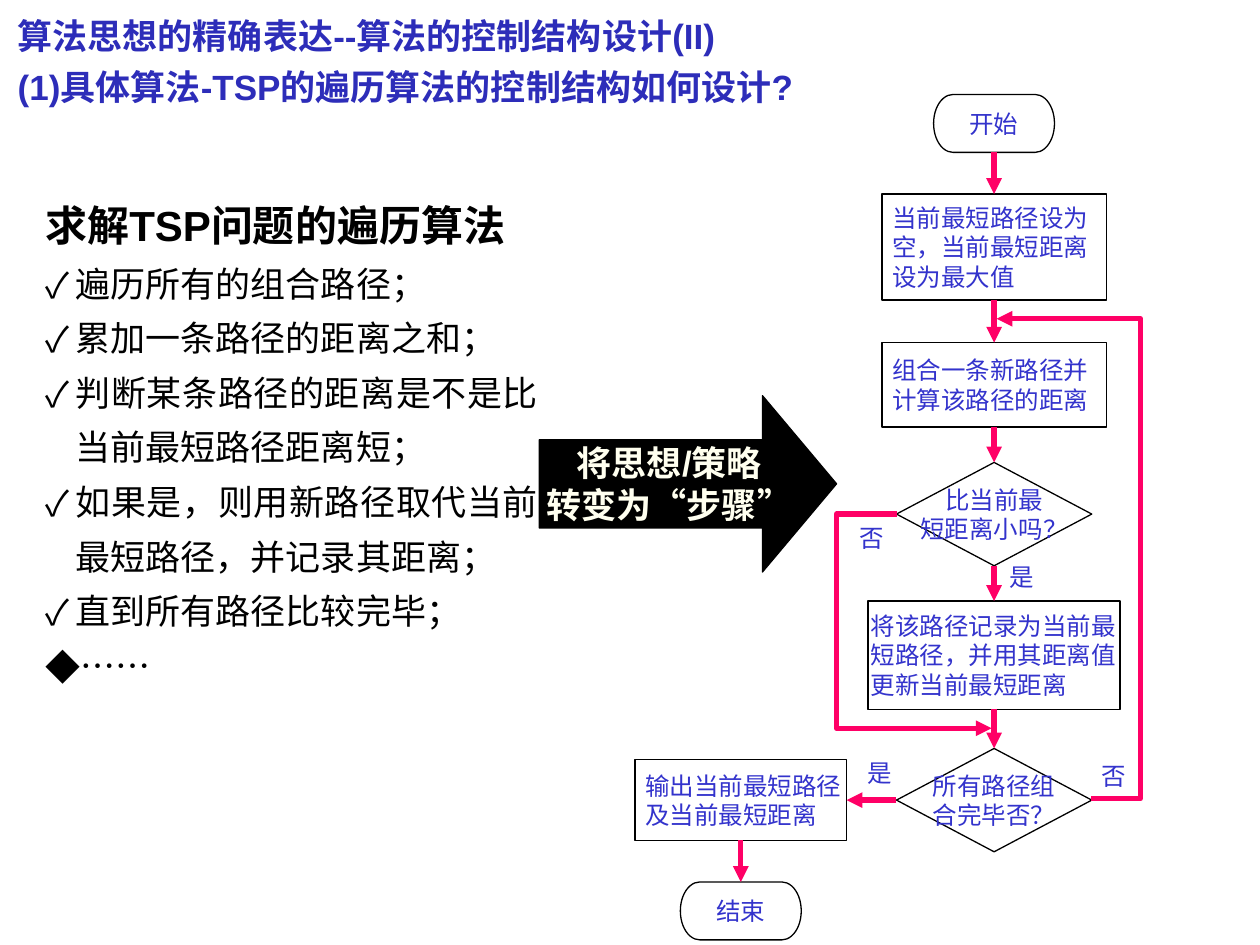
from lxml import etree
from pptx import Presentation
from pptx.dml.color import RGBColor
from pptx.enum.shapes import MSO_CONNECTOR, MSO_SHAPE
from pptx.enum.text import MSO_ANCHOR, MSO_AUTO_SIZE, PP_ALIGN
from pptx.oxml.ns import qn
from pptx.util import Inches, Pt

BOX = MSO_SHAPE.FLOWCHART_PROCESS
TEST = MSO_SHAPE.FLOWCHART_DECISION
CAP = MSO_SHAPE.FLOWCHART_TERMINATOR
ARROW = MSO_SHAPE.RIGHT_ARROW
STRAIGHT = MSO_CONNECTOR.STRAIGHT
LEFT, MID, JUST = PP_ALIGN.LEFT, PP_ALIGN.CENTER, PP_ALIGN.JUSTIFY

LATIN, CJK = "Arial", "Noto Sans CJK SC"
BLACK, WHITE, BLUE, PINK = "000000", "FFFFFF", "3333CC", "FF0066"
NAVY, CREAM = "2D2DB9", "FFFFEF"
MAIN_X, END_X = 7.89, 5.88  # centre lines of the two flow columns
TOP, SIDE, BOTTOM = 0, 1, 2
RIGHT = 3


def color(code):
    return RGBColor.from_string(code)


def add_sub(parent, tag, **attrs):
    return etree.SubElement(parent, qn(tag), attrs)


def add_run(para, text, size, code, bold=False, face=LATIN):
    run = para.add_run()
    run.text = text
    font = run.font
    font.size, font.bold, font.name = Pt(size), bold, face
    font.color.rgb = color(code)
    add_sub(run.font._element, "a:ea", typeface=CJK)


def set_frame(frame, wrap, anchor=MSO_ANCHOR.TOP, left=0.1, right=0.1):
    frame.word_wrap = wrap
    frame.auto_size = MSO_AUTO_SIZE.NONE
    frame.vertical_anchor = anchor
    frame.margin_left, frame.margin_right = Inches(left), Inches(right)
    frame.margin_top = frame.margin_bottom = Inches(0.05)


def add_lines(frame, lines, size, code, align=LEFT, bold=False, space=None):
    """Each line is a list of (text, face) runs or a plain string."""
    for i, line in enumerate(lines):
        para = frame.paragraphs[0] if i == 0 else frame.add_paragraph()
        para.alignment = align
        para.space_before = Pt(0)
        if space:
            para.line_spacing = space
        for text, face in [(line, LATIN)] if isinstance(line, str) else line:
            add_run(para, text, size, code, bold, face)


def move(shape, x, y, w, h):
    shape.left, shape.top = Inches(x), Inches(y)
    shape.width, shape.height = Inches(w), Inches(h)


def add_node(slide, kind, mid, y, w, h, fill=WHITE):
    node = slide.shapes.add_shape(
        kind, Inches(mid - w / 2), Inches(y), Inches(w), Inches(h))
    node.shadow.inherit = False
    node.fill.solid()
    node.fill.fore_color.rgb = color(fill)
    node.line.color.rgb = color(BLACK)
    node.line.width = Pt(0.75)
    return node


def add_step(slide, text, mid, y, w, h, left=0.08):
    node = add_node(slide, BOX, mid, y, w, h)
    set_frame(node.text_frame, True, MSO_ANCHOR.MIDDLE, left, 0.02)
    add_lines(node.text_frame, [text], 14, BLUE)
    return node


def add_mark(slide, kind, lines, mid, y, w, h):
    node = add_node(slide, kind, mid, y, w, h)
    set_frame(node.text_frame, False, MSO_ANCHOR.MIDDLE)
    add_lines(node.text_frame, lines, 14, BLUE, MID)
    return node


def add_label(slide, text, x, y):
    box = slide.shapes.add_textbox(
        Inches(x), Inches(y), Inches(0.39), Inches(0.34))
    set_frame(box.text_frame, False)
    add_lines(box.text_frame, [text], 14, BLUE)


def style_flow(shape):
    shape.line.color.rgb = color(PINK)
    shape.line.width = Pt(3)
    stroke = shape.element.spPr.find(qn("a:ln"))
    add_sub(stroke, "a:round")
    add_sub(stroke, "a:tailEnd", type="triangle")


def join(slide, start, out, end, into):
    flow = slide.shapes.add_connector(STRAIGHT, 0, 0, 0, 0)
    flow.begin_connect(start, out)
    flow.end_connect(end, into)
    style_flow(flow)
    add_sub(flow.element.spPr, "a:effectLst")


def add_bend(slide, points):
    spots = [(Inches(x), Inches(y)) for x, y in points]
    pen = slide.shapes.build_freeform(*spots[0])
    pen.add_line_segments(spots[1:], close=False)
    flow = pen.convert_to_shape()
    flow.fill.background()
    flow.shadow.inherit = False
    style_flow(flow)


def set_bullet(para, sign=None):
    props = para._p.get_or_add_pPr()
    hang = Inches(0.24) if sign else 0
    props.set("marL", str(hang))
    props.set("indent", str(-hang))
    if not sign:
        add_sub(props, "a:buNone")
        return
    tint = add_sub(props, "a:buClr")
    add_sub(tint, "a:srgbClr", val=BLACK)
    add_sub(props, "a:buFont", typeface=CJK)
    add_sub(props, "a:buChar", char=sign)


def fill_title(slide):
    title = slide.shapes.title
    move(title, 0.04, 0, 6.7, 0.9)
    set_frame(title.text_frame, True)
    add_lines(title.text_frame, [
        "算法思想的精确表达--算法的控制结构设计(II)",
        "(1)具体算法-TSP的遍历算法的控制结构如何设计?",
    ], 20, NAVY, bold=True, space=1.2)


def fill_body(slide):
    body = slide.placeholders[1]
    move(body, 0.26, 1.41, 4.11, 4.52)
    frame = body.text_frame
    set_frame(frame, True)
    add_lines(frame, ["求解TSP问题的遍历算法"], 24, BLACK, JUST, True, 1.3)
    set_bullet(frame.paragraphs[0])
    items = [
        ("✓", "遍历所有的组合路径；", LATIN),
        ("✓", "累加一条路径的距离之和；", LATIN),
        ("✓", "判断某条路径的距离是不是比当前最短路径距离短；", LATIN),
        ("✓", "如果是，则用新路径取代当前最短路径，并记录其距离；", LATIN),
        ("✓", "直到所有路径比较完毕；", LATIN),
        ("◆", "……", CJK),
    ]
    for sign, text, face in items:
        para = frame.add_paragraph()
        para.alignment, para.line_spacing = JUST, 1.3
        para.space_before = Pt(0)
        set_bullet(para, sign)
        add_run(para, text, 20, BLACK, face=face)


def add_chart_flow(slide):
    # Nodes
    start = add_mark(slide, CAP, ["开始"], MAIN_X, 0.75, 0.96, 0.46)
    init = add_step(slide, "当前最短路径设为空，当前最短距离设为最大值",
                    MAIN_X, 1.54, 1.78, 0.84)
    build = add_step(slide, "组合一条新路径并计算该路径的距离",
                     MAIN_X, 2.72, 1.78, 0.67)
    less = add_mark(slide, TEST, ["比当前最", "短距离小吗？"],
                    MAIN_X, 3.67, 1.55, 0.82)
    save = add_step(slide, "将该路径记录为当前最短路径，并用其距离值更新当前最短距离",
                    MAIN_X, 4.77, 2, 0.86, 0.02)
    done = add_mark(slide, TEST, ["所有路径组", "合完毕否？"],
                    MAIN_X, 5.94, 1.55, 0.82)
    show = add_step(slide, "输出当前最短路径及当前最短距离",
                    END_X, 6.03, 1.68, 0.64)
    stop = add_mark(slide, CAP, ["结束"], END_X, 7, 0.96, 0.46)

    # Straight flow
    chain = [start, init, build, less, save, done]
    for above, below in [*zip(chain, chain[1:]), (show, stop)]:
        join(slide, above, BOTTOM, below, TOP)
    join(slide, done, SIDE, show, RIGHT)

    # Branches that skip ahead and loop back
    add_bend(slide, [(7.12, 4.08), (6.64, 4.08), (6.64, 5.78), (7.87, 5.78)])
    add_bend(slide, [(8.66, 6.34), (9.05, 6.34), (9.05, 2.53), (7.91, 2.53)])
    for text, x, y in [("否", 6.72, 4.1), ("是", 7.91, 4.41),
                       ("是", 6.79, 5.97), ("否", 8.64, 5.99)]:
        add_label(slide, text, x, y)


def add_pointer(slide):
    arrow = add_node(slide, ARROW, 5.46, 3.14, 2.36, 1.4, BLACK)
    arrow.adjustments[0], arrow.adjustments[1] = 0.5, 0.42
    set_frame(arrow.text_frame, False, MSO_ANCHOR.MIDDLE)
    add_lines(arrow.text_frame, [
        "将思想/策略",
        [("转变为", LATIN), ("“", CJK), ("步骤", LATIN), ("”", CJK)],
    ], 20, CREAM, MID, True)


def main():
    deck = Presentation()
    deck.slide_width, deck.slide_height = Inches(10), Inches(7.5)
    slide = deck.slides.add_slide(deck.slide_layouts[1])
    fill_title(slide)
    fill_body(slide)
    add_chart_flow(slide)
    add_pointer(slide)
    deck.save("out.pptx")


if __name__ == "__main__":
    main()
